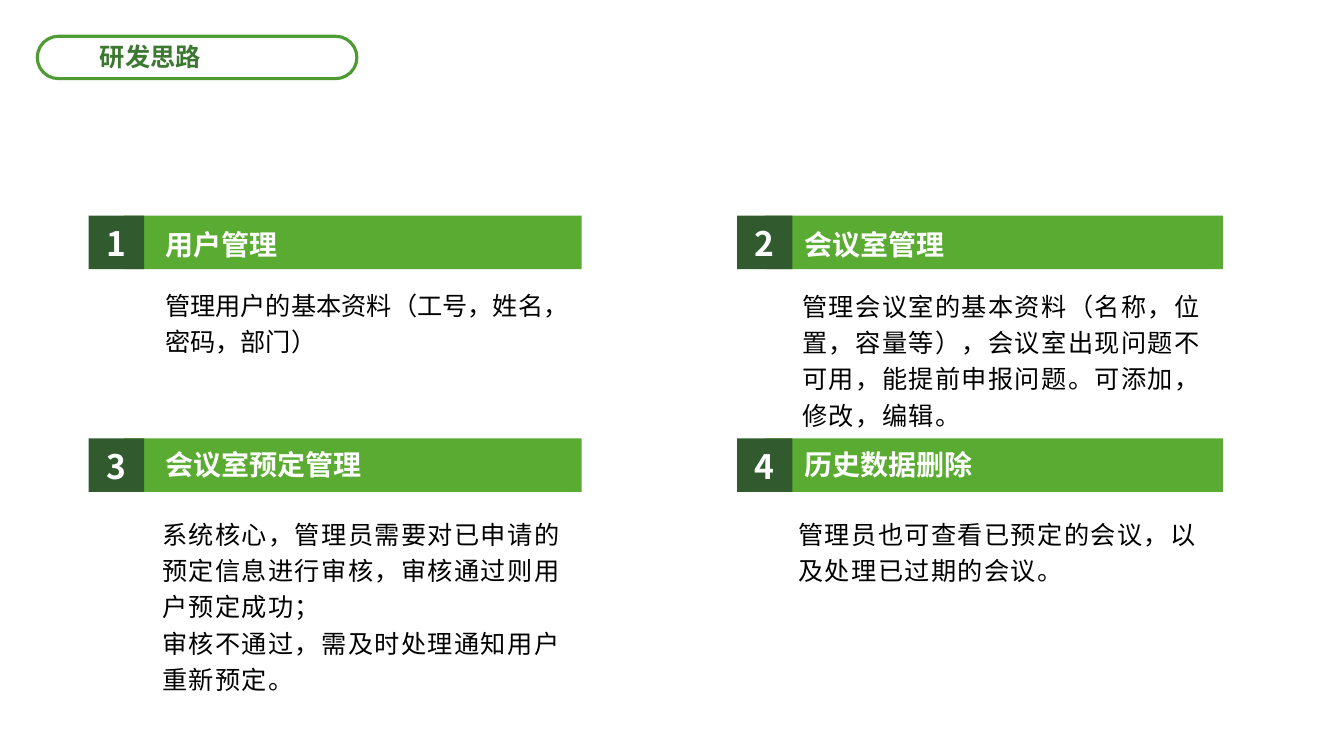
from dataclasses import dataclass

from lxml.etree import SubElement
from pptx import Presentation
from pptx.dml.color import RGBColor
from pptx.enum.shapes import MSO_SHAPE
from pptx.enum.text import MSO_ANCHOR, MSO_AUTO_SIZE, PP_ALIGN
from pptx.oxml.ns import qn
from pptx.util import Inches, Pt

CJK_FONT = "Noto Sans CJK SC"
BAR_GREEN = "5AAB31"
BADGE_GREEN = "315B2F"
OUTLINE_GREEN = "4F9B33"
TITLE_GREEN = "3C7832"
WHITE = "FFFFFF"
BLACK = "000000"

COLUMNS = (0.88, 7.31)
ROWS = (2.14, 4.35)
BAR_HEIGHT = 0.53
BADGE_WIDTH = 0.55


@dataclass
class Topic:
    """One numbered panel; offsets are measured from its top left corner."""
    heading: str
    paragraphs: tuple
    body_offset: tuple
    body_size: tuple
    body_font: str = CJK_FONT
    spacing: float = 1


TOPICS = (
    Topic("用户管理", ("管理用户的基本资料（工号，姓名，密码，部门）",),
          (0.66, 0.63), (4.24, 1.11), "Arial", 0),
    Topic("会议室管理",
          ("管理会议室的基本资料（名称，位置，容量等），会议室出现问题不可用，"
           "能提前申报问题。可添加，修改，编辑。",),
          (0.55, 0.64), (4.32, 1.52)),
    Topic("会议室预定管理",
          ("系统核心，管理员需要对已申请的预定信息进行审核，审核通过则用户预定成功；",
           "审核不通过，需及时处理通知用户重新预定。"),
          (0.63, 0.69), (4.32, 1.92)),
    Topic("历史数据删除", ("管理员也可查看已预定的会议，以及处理已过期的会议。",),
          (0.51, 0.69), (4.32, 0.83)),
)


def color(value):
    return RGBColor.from_string(value)


def write_text(box, paragraphs, size, text_color, font=CJK_FONT, bold=False,
               align=PP_ALIGN.LEFT, line_spacing=1.0, spacing=0, wrap=True):
    """Fill a text box or placeholder; spacing is letter spacing in points."""
    frame = box.text_frame
    frame.word_wrap = wrap
    frame.auto_size = MSO_AUTO_SIZE.NONE
    frame.vertical_anchor = MSO_ANCHOR.TOP
    for index, text in enumerate(paragraphs):
        para = frame.add_paragraph() if index else frame.paragraphs[0]
        para.alignment = align
        para.line_spacing = line_spacing
        para.space_before = Pt(0)
        span = para.add_run()
        span.text = text
        span.font.size = Pt(size)
        span.font.bold = bold
        span.font.color.rgb = color(text_color)
        span.font.name = font
        properties = span.font._element
        SubElement(properties, qn("a:ea")).set("typeface", CJK_FONT)
        if spacing:
            properties.set("spc", str(int(spacing * 100)))


def add_text(page, left, top, width, height, paragraphs, **style):
    box = page.shapes.add_textbox(Inches(left), Inches(top),
                                  Inches(width), Inches(height))
    write_text(box, paragraphs, **style)


def add_block(page, kind, left, top, width, height, fill, line=None):
    block = page.shapes.add_shape(kind, Inches(left), Inches(top),
                                  Inches(width), Inches(height))
    block.shadow.inherit = False
    block.fill.solid()
    block.fill.fore_color.rgb = color(fill)
    if line:
        block.line.color.rgb = color(line)
        block.line.width = Pt(2.25)
    else:
        block.line.fill.background()
    return block


def add_title(page, left, top, width, height):
    pill = add_block(page, MSO_SHAPE.ROUNDED_RECTANGLE, left, top, width, height,
                     WHITE, OUTLINE_GREEN)
    pill.adjustments[0] = 0.5
    title = page.shapes.title
    title.left, title.top = Inches(left + 0.52), Inches(top)
    title.width, title.height = Inches(1.21), Inches(0.4)
    write_text(title, ["研发思路"], size=18, text_color=TITLE_GREEN, bold=True,
               wrap=False)
    pill._element.addnext(title._element)  # the title lies on the pill


def add_topic(page, left, top, number, topic, bar_offset, heading_offset):
    add_block(page, MSO_SHAPE.RECTANGLE, left + bar_offset, top, 4.54, BAR_HEIGHT,
              BAR_GREEN)
    add_block(page, MSO_SHAPE.RECTANGLE, left, top, BADGE_WIDTH, BAR_HEIGHT,
              BADGE_GREEN)
    add_text(page, left + 0.03, top + 0.02, 0.48, 0.5, [str(number)], size=24,
             text_color=WHITE, bold=True, align=PP_ALIGN.CENTER)
    heading_left, heading_top = heading_offset
    add_text(page, left + heading_left, top + heading_top, 3.05, 0.44,
             [topic.heading], size=20, text_color=WHITE, font="Arial", bold=True)
    body_left, body_top = topic.body_offset
    add_text(page, left + body_left, top + body_top, *topic.body_size,
             topic.paragraphs, size=18, text_color=BLACK, font=topic.body_font,
             line_spacing=1.2, spacing=topic.spacing)


def main():
    deck = Presentation()
    deck.slide_width, deck.slide_height = Inches(13.33), Inches(7.5)
    page = deck.slides.add_slide(deck.slide_layouts[5])
    add_title(page, 0.37, 0.36, 3.17, 0.42)
    for index, topic in enumerate(TOPICS):
        row, column = divmod(index, len(COLUMNS))
        add_topic(page, COLUMNS[column], ROWS[row], index + 1, topic,
                  bar_offset=(0.35, 0.28)[column],
                  heading_offset=((0.66, 0.57)[column], (0.07, 0.04)[row]))
    deck.save("out.pptx")


if __name__ == "__main__":
    main()
